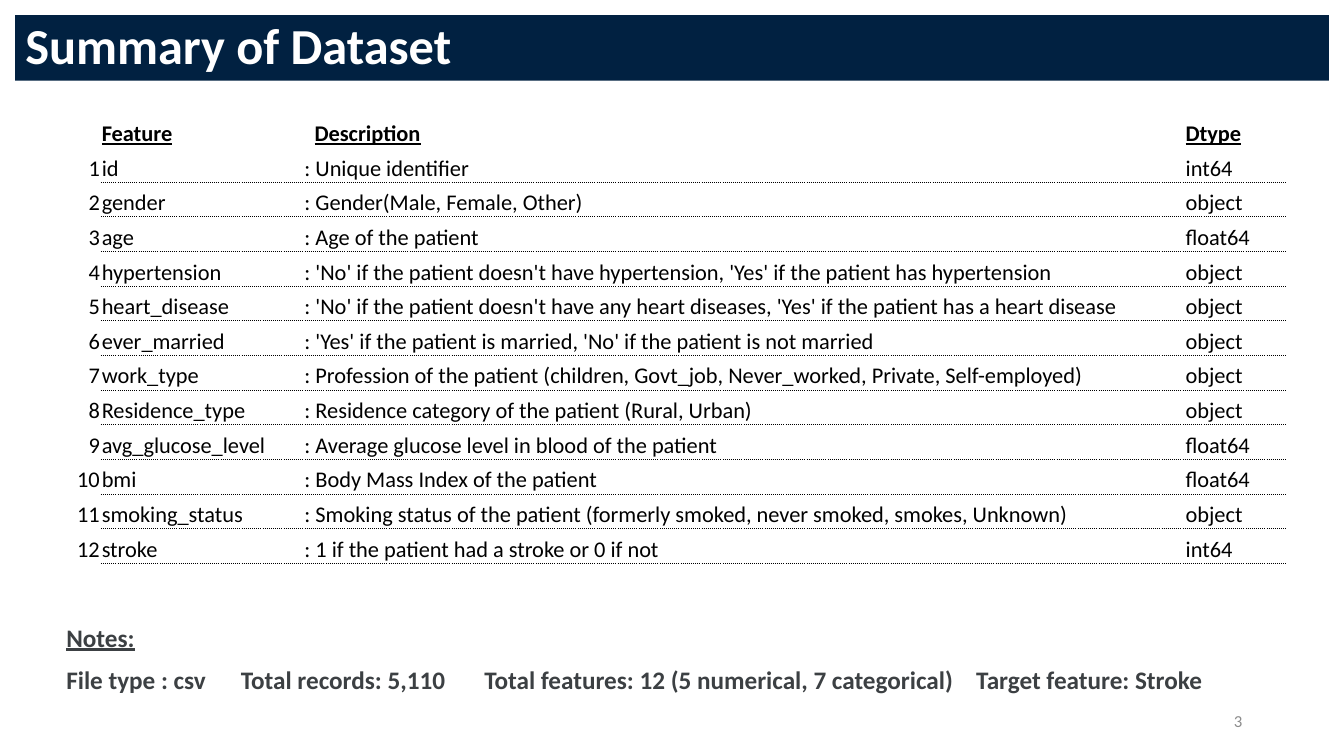
from lxml.etree import SubElement
from pptx import Presentation
from pptx.dml.color import RGBColor
from pptx.enum.text import MSO_ANCHOR, MSO_AUTO_SIZE, PP_ALIGN
from pptx.oxml.ns import qn
from pptx.util import Inches, Pt

NAVY = RGBColor(0x01, 0x21, 0x41)
WHITE = RGBColor(0xFF, 0xFF, 0xFF)
BLACK = RGBColor(0x00, 0x00, 0x00)
SLATE = RGBColor(0x3C, 0x40, 0x43)
GREY = RGBColor(0x8C, 0x8C, 0x8C)

# Shares of the slide width, in percent
COLUMN_SHARES = (3.3, 15.08, 65.57, 7.65)
NOTE_STOPS = (12.98, 31.1, 67.7)

HEADINGS = ("", "Feature", "Description", "Dtype")
FEATURES = (
    ("id", "Unique identifier", "int64"),
    ("gender", "Gender(Male, Female, Other)", "object"),
    ("age", "Age of the patient", "float64"),
    ("hypertension", "'No' if the patient doesn't have hypertension, "
     "'Yes' if the patient has hypertension", "object"),
    ("heart_disease", "'No' if the patient doesn't have any heart diseases, "
     "'Yes' if the patient has a heart disease", "object"),
    ("ever_married", "'Yes' if the patient is married, "
     "'No' if the patient is not married", "object"),
    ("work_type", "Profession of the patient (children, Govt_job, "
     "Never_worked, Private, Self-employed)", "object"),
    ("Residence_type", "Residence category of the patient (Rural, Urban)", "object"),
    ("avg_glucose_level", "Average glucose level in blood of the patient", "float64"),
    ("bmi", "Body Mass Index of the patient", "float64"),
    ("smoking_status", "Smoking status of the patient (formerly smoked, "
     "never smoked, smokes, Unknown)", "object"),
    ("stroke", "1 if the patient had a stroke or 0 if not", "int64"),
)
FACTS = ("File type : csv", "Total records: 5,110",
         "Total features: 12 (5 numerical, 7 categorical)", "Target feature: Stroke")


def apply(target, values):
    for name, value in values.items():
        setattr(target, name, value)


class SlideBuilder:
    """Holds the style and the current slide; lengths are percent of its size."""

    font_name = "Calibri"

    def __init__(self, deck):
        self.deck = deck
        self.page = deck.slides.add_slide(deck.slide_layouts[5])

    def across(self, share):
        return round(self.deck.slide_width * share / 100)

    def down(self, share):
        return round(self.deck.slide_height * share / 100)

    def place(self, left, top, width, height):
        return self.across(left), self.down(top), self.across(width), self.down(height)

    def add_text(self, para, text, size, color, **style):
        span = para.add_run()
        span.text = text
        apply(span.font, {"name": self.font_name, "size": Pt(size), **style})
        span.font.color.rgb = color

    def title(self, text, area):
        bar = self.page.shapes.title
        apply(bar, dict(zip(("left", "top", "width", "height"), self.place(*area))))
        bar.fill.solid()
        bar.fill.fore_color.rgb = NAVY
        apply(bar.text_frame, {"auto_size": MSO_AUTO_SIZE.NONE, "word_wrap": True,
                               "vertical_anchor": MSO_ANCHOR.MIDDLE})
        para = bar.text_frame.paragraphs[0]
        apply(para, {"alignment": PP_ALIGN.LEFT, "line_spacing": 0.9})
        self.add_text(para, text, 36, WHITE, bold=True)

    def text_box(self, area, **frame_values):
        frame = self.page.shapes.add_textbox(*self.place(*area)).text_frame
        apply(frame, {"word_wrap": True, **frame_values})
        return frame

    def tab_stops(self, para, shares):
        stops = SubElement(para._p.get_or_add_pPr(), qn("a:tabLst"))
        for share in shares:
            SubElement(stops, qn("a:tab"), pos=str(self.across(share)), algn="l")

    def border(self, cell, edge, dotted):
        line = SubElement(cell._tc.get_or_add_tcPr(), qn(f"a:{edge}"), w=str(Pt(0.5)))
        if dotted:
            fill = SubElement(line, qn("a:solidFill"))
            SubElement(fill, qn("a:srgbClr"), val=str(BLACK))
            SubElement(line, qn("a:prstDash"), val="sysDot")
        else:
            SubElement(line, qn("a:noFill"))

    def cell(self, cell, text, top_line, bottom_line, align, indent, **style):
        edges = {"lnL": False, "lnR": False, "lnT": top_line, "lnB": bottom_line}
        for edge, dotted in edges.items():
            self.border(cell, edge, dotted)
        cell.fill.solid()
        cell.fill.fore_color.rgb = WHITE
        apply(cell, {"margin_left": Inches(indent), "margin_right": Inches(0.01),
                     "margin_top": Inches(0.01), "margin_bottom": 0,
                     "vertical_anchor": MSO_ANCHOR.BOTTOM})
        para = cell.text_frame.paragraphs[0]
        para.alignment = align
        if text:
            self.add_text(para, text, 16, BLACK, **style)

    def table(self, rows, area):
        shape = self.page.shapes.add_table(len(rows), len(COLUMN_SHARES), *self.place(*area))
        table = shape.table
        apply(table, {"first_row": False, "horz_banding": False})
        for column, share in zip(table.columns, COLUMN_SHARES):
            column.width = self.across(share)
        for r, row in enumerate(rows):
            heading = r == 0
            for c, text in enumerate(row):
                ruled = c > 0
                self.cell(table.cell(r, c), text,
                          top_line=ruled and r > 1,
                          bottom_line=ruled and not heading,
                          align=PP_ALIGN.LEFT if ruled else PP_ALIGN.RIGHT,
                          indent=0.11 if heading and c == 2 else 0.01,
                          bold=heading, underline=heading)

    def notes(self, heading, facts, area):
        frame = self.text_box(area, auto_size=MSO_AUTO_SIZE.SHAPE_TO_FIT_TEXT)
        first, second = frame.paragraphs[0], frame.add_paragraph()
        for para in (first, second):
            para.space_after = Pt(9)
        self.add_text(first, heading, 18, SLATE, bold=True, underline=True)
        self.tab_stops(second, NOTE_STOPS)
        self.add_text(second, "\t".join(facts), 18, SLATE, bold=True)

    def page_number(self, number, area):
        frame = self.text_box(area, vertical_anchor=MSO_ANCHOR.MIDDLE)
        para = frame.paragraphs[0]
        para.alignment = PP_ALIGN.RIGHT
        self.add_text(para, str(number), 12, GREY)


def main():
    deck = Presentation()
    apply(deck, {"slide_width": Inches(13.33), "slide_height": Inches(7.5)})
    slide = SlideBuilder(deck)

    # Title bar
    slide.title("Summary of Dataset", (1.13, 2, 97.75, 8.67))

    # Feature table
    rows = [HEADINGS]
    for number, (feature, description, dtype) in enumerate(FEATURES, 1):
        rows.append((str(number), feature, f": {description}", dtype))
    slide.table(rows, (4.2, 14.93, sum(COLUMN_SHARES), 59.6))

    # Notes and page number
    slide.notes("Notes:", FACTS, (4.2, 81.6, 90.17, 11.07))
    slide.page_number(3, (70.67, 92.67, 22.5, 5.33))

    deck.save("out.pptx")


if __name__ == "__main__":
    main()
